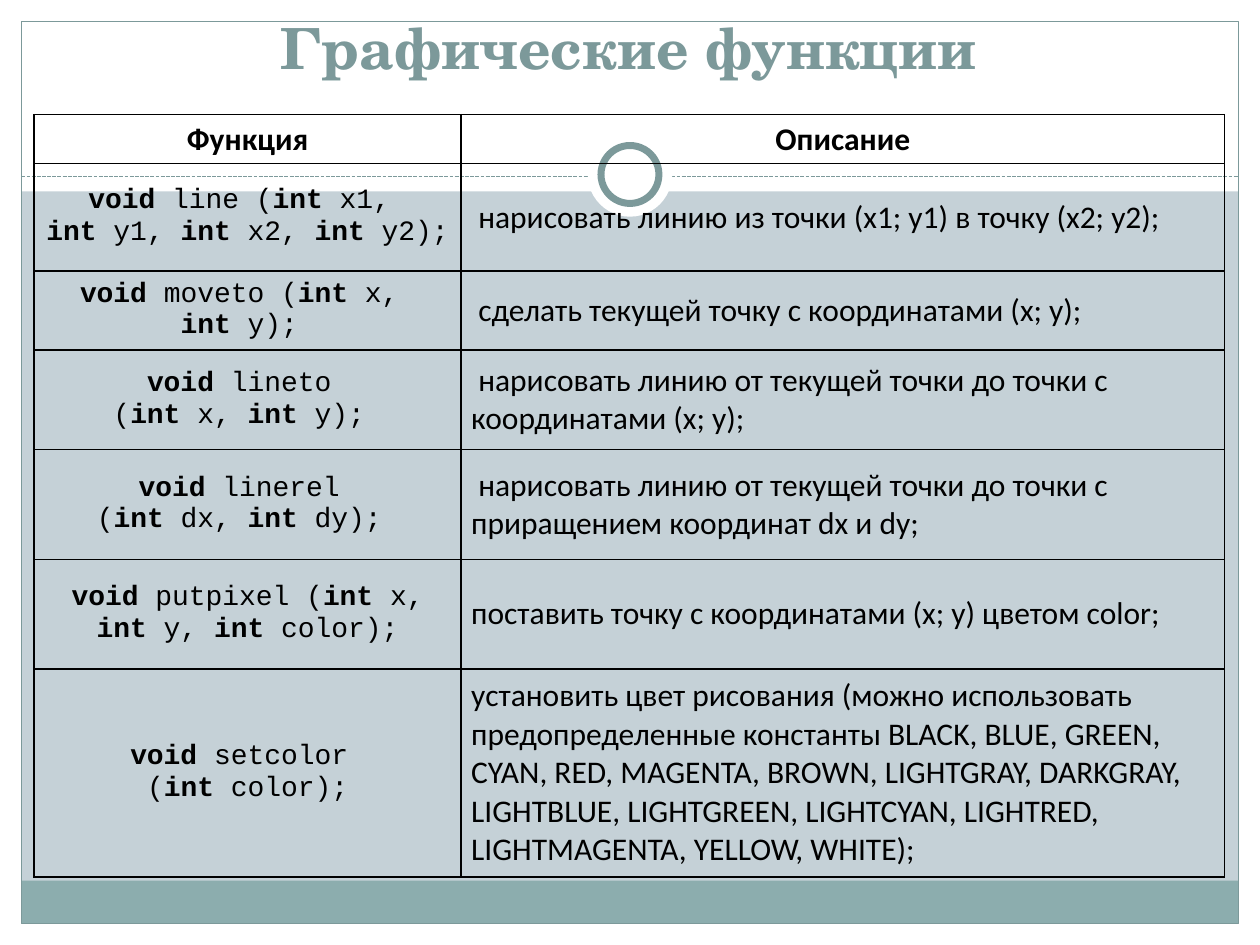
from lxml.etree import SubElement
from pptx import Presentation
from pptx.dml.color import RGBColor
from pptx.enum.dml import MSO_LINE
from pptx.enum.shapes import MSO_CONNECTOR, MSO_SHAPE
from pptx.enum.text import MSO_ANCHOR, MSO_AUTO_SIZE, PP_ALIGN
from pptx.oxml import parse_xml
from pptx.oxml.ns import nsdecls, qn
from pptx.util import Inches, Pt

WHITE, BLACK = "FFFFFF", "000000"
TEAL, PALE_TEAL, BACKGROUND = "7C999A", "8CADAE", "C5D1D7"
COLUMN_WIDTHS = [3.39, 6.06]
ROW_HEIGHTS = [0.39, 0.85, 0.63, 0.79, 0.87, 0.87, 1.65]
HEADERS = ["Функция", "Описание"]
FUNCTIONS = [
    (["*void *line (*int* x1, ", "*int* y1, *int* x2, *int* y2);"],
     " нарисовать линию из точки (x1; y1) в точку (x2; y2);"),
    (["*void *moveto (*int* x, ", "*int* y); "],
     " сделать текущей точку с координатами (x; y);"),
    (["*void *lineto ", "(*int* x, *int* y); "],
     " нарисовать линию от текущей точки до точки с координатами (x; y);"),
    (["*void *linerel ", "(*int* dx, *int *dy); "],
     " нарисовать линию от текущей точки до точки с приращением координат dx и dy;"),
    (["*void *putpixel (*int* x, *int* y, *int* color);"],
     "поставить точку с координатами (x; y) цветом color;"),
    (["*void *setcolor ", "(*int* color);"],
     "установить цвет рисования (можно использовать предопределенные константы "
     "BLACK, BLUE, GREEN, CYAN, RED, MAGENTA, BROWN, LIGHTGRAY, DARKGRAY, LIGHTBLUE, "
     "LIGHTGREEN, LIGHTCYAN, LIGHTRED, LIGHTMAGENTA, YELLOW, WHITE);"),
]


def color(value):
    """Turn a hex string into a colour."""
    return RGBColor.from_string(value)


def set_font(paragraph, name, size, value, bold=None):
    """Set the font of a whole paragraph."""
    font = paragraph.font
    font.name, font.size, font.bold = name, Pt(size), bold
    font.color.rgb = color(value)


def add_panel(slide, box, fill=None, line=None, width=0.75, kind=MSO_SHAPE.RECTANGLE):
    """Add a plain shape with an optional fill and outline."""
    shape = slide.shapes.add_shape(kind, *map(Inches, box))
    shape.shadow.inherit = False
    if fill:
        shape.fill.solid()
        shape.fill.fore_color.rgb = color(fill)
    else:
        shape.fill.background()
    if line:
        shape.line.color.rgb = color(line)
        shape.line.width = Pt(width)
    else:
        shape.line.fill.background()


def add_frame(slide, box):
    """Draw the white margins, footer band and outline around the frame box."""
    left, top, width, height = box
    right, bottom = left + width, top + height
    for margin in [(0, bottom, 10, 7.5 - bottom), (0, 0, 10, 1.52),
                   (0, 0, left, 7.5), (right, 0, 10 - right, 7.5)]:
        add_panel(slide, margin, WHITE)
    add_panel(slide, (left, bottom - 0.34, width, 0.34), PALE_TEAL)
    add_panel(slide, box, line=TEAL)


def add_divider(slide, box):
    """Draw the dashed line and the ring centred in the box."""
    left, top, width, height = box
    middle = top + height / 2
    line = slide.shapes.add_connector(
        MSO_CONNECTOR.STRAIGHT, Inches(left), Inches(1.4), Inches(left + width), Inches(1.4))
    line.line.color.rgb = color(TEAL)
    line.line.width = Pt(0.75)
    line.line.dash_style = MSO_LINE.SQUARE_DOT
    SubElement(line._element.spPr, qn("a:effectLst"))
    for size, outline in [(height, None), (0.46, TEAL)]:
        ring = (left + (width - size) / 2, middle - size / 2, size, size)
        add_panel(slide, ring, WHITE, outline, 4, MSO_SHAPE.OVAL)


def add_title(slide, box, text):
    """Place and format the title above the frame."""
    title = slide.shapes.title
    title._element.getparent().append(title._element)
    title.left, title.top, title.width, title.height = map(Inches, box)
    frame = title.text_frame
    frame.text = text
    frame.word_wrap = True
    frame.auto_size = MSO_AUTO_SIZE.NONE
    frame.vertical_anchor = MSO_ANCHOR.BOTTOM
    paragraph = frame.paragraphs[0]
    paragraph.alignment = PP_ALIGN.CENTER
    set_font(paragraph, "TeX Gyre Schola", 32.4, TEAL, True)


def format_cell(cell):
    """Clear the fill, set the margins and draw the four borders."""
    cell.vertical_anchor = MSO_ANCHOR.MIDDLE
    cell.margin_left = cell.margin_right = Inches(0.08)
    cell.margin_top = cell.margin_bottom = 0
    properties = cell._tc.get_or_add_tcPr()
    for side in ("lnL", "lnR", "lnT", "lnB"):
        properties.append(parse_xml(
            f'<a:{side} {nsdecls("a")} w="{Pt(1)}"><a:solidFill>'
            f'<a:srgbClr val="{BLACK}"/></a:solidFill></a:{side}>'))
    cell.fill.background()


def write_signature(cell, lines):
    """Write a function signature with its marked keywords in bold."""
    frame = cell.text_frame
    for index, line in enumerate(lines):
        paragraph = frame.add_paragraph() if index else frame.paragraphs[0]
        paragraph.alignment = PP_ALIGN.CENTER
        set_font(paragraph, "Courier New", 16, BLACK)
        for position, part in enumerate(line.split("*")):
            if part:
                run = paragraph.add_run()
                run.text = part
                run.font.bold = position % 2 == 1


def write_text(cell, text, alignment, bold):
    """Write a header or a description."""
    cell.text = text
    paragraph = cell.text_frame.paragraphs[0]
    paragraph.alignment = alignment
    set_font(paragraph, "Calibri", 18, BLACK, bold)


def add_function_table(slide, box):
    """Build the table of functions and descriptions."""
    table = slide.shapes.add_table(
        len(ROW_HEIGHTS), len(COLUMN_WIDTHS), *map(Inches, box)).table
    table.first_row = table.horz_banding = False
    for column, width in zip(table.columns, COLUMN_WIDTHS):
        column.width = Inches(width)
    for row, height in zip(table.rows, ROW_HEIGHTS):
        row.height = Inches(height)
    for cell in table.iter_cells():
        format_cell(cell)
    for index, header in enumerate(HEADERS):
        write_text(table.cell(0, index), header, PP_ALIGN.CENTER, True)
    for index, (signature, description) in enumerate(FUNCTIONS, 1):
        write_signature(table.cell(index, 0), signature)
        write_text(table.cell(index, 1), description, PP_ALIGN.LEFT, False)


def main():
    """Build the slide and save it."""
    presentation = Presentation()
    presentation.slide_width, presentation.slide_height = Inches(10), Inches(7.5)
    slide = presentation.slides.add_slide(presentation.slide_layouts[5])
    slide.background.fill.solid()
    slide.background.fill.fore_color.rgb = color(BACKGROUND)
    add_frame(slide, (0.17, 0.17, 9.66, 7.16))
    add_divider(slide, (0.17, 1.05, 9.66, 0.67))
    add_title(slide, (0.49, 0.05, 9, 0.64), "Графические функции")
    add_function_table(slide, (0.27, 0.91, sum(COLUMN_WIDTHS), sum(ROW_HEIGHTS)))
    presentation.save("out.pptx")


if __name__ == "__main__":
    main()
